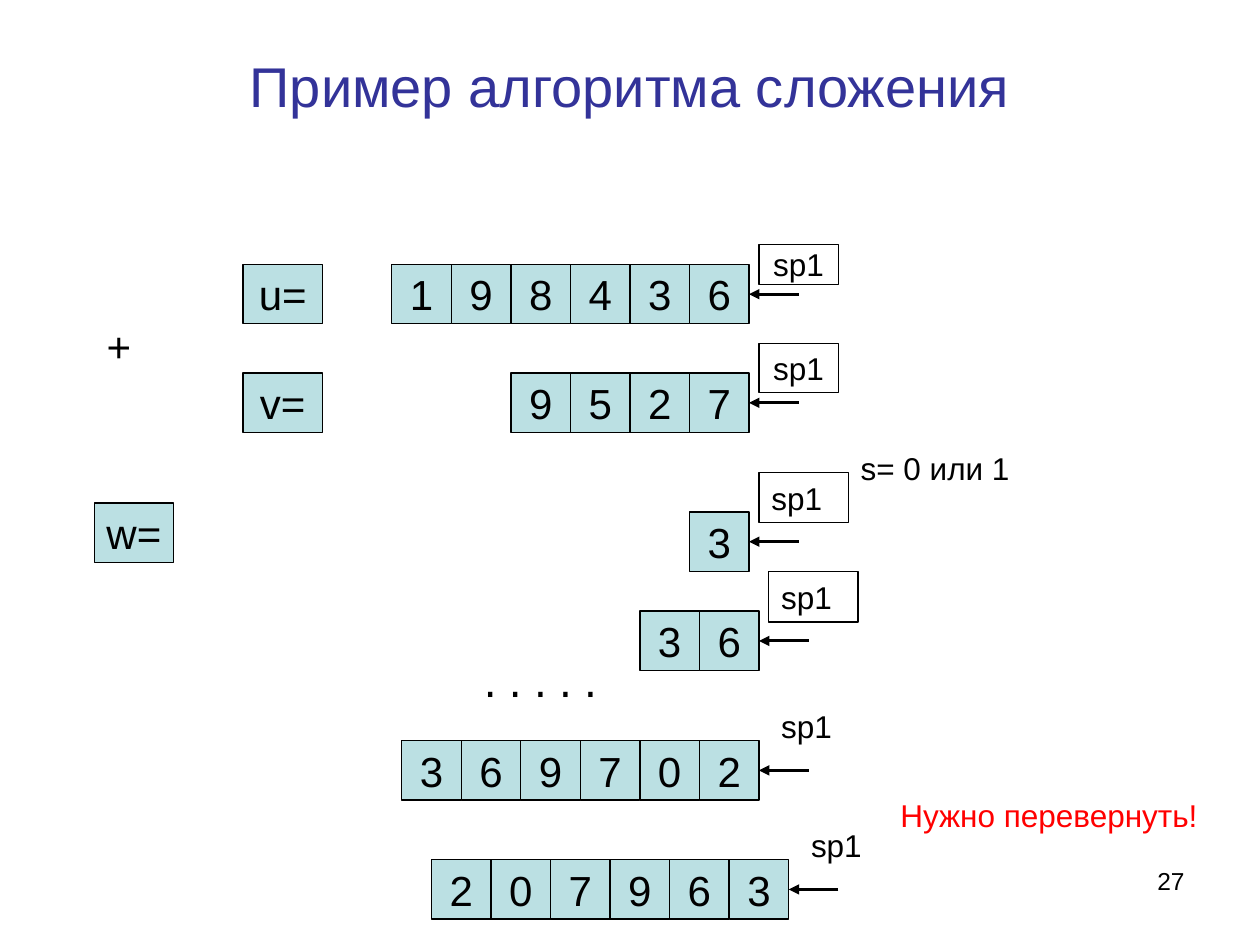
from pptx import Presentation
from pptx.dml.color import RGBColor
from pptx.enum.shapes import MSO_CONNECTOR as Connector, MSO_SHAPE as Shape
from pptx.enum.text import MSO_ANCHOR as Anchor, PP_ALIGN as Align
from pptx.oxml.ns import qn
from pptx.util import Inches, Pt
from lxml.etree import SubElement

COLORS = {"title": "333399", "cell": "BBE0E3", "ink": "000000", "alert": "FF0000"}
FONT = "Arial"
WIDTH, HEIGHT = Inches(10), Inches(7.5)
GRID = WIDTH / 127
CELL = 6
POINTER = 5


def grid(count):
    return round(count * GRID)


def color(name):
    return RGBColor.from_string(COLORS[name])


def write(holder, words, size, ink="ink", align=Align.LEFT, anchor=Anchor.TOP, wrap=True):
    frame = holder.text_frame
    frame.text = words
    frame.word_wrap = wrap
    frame.vertical_anchor = anchor
    paragraph = frame.paragraphs[0]
    paragraph.alignment = align
    font = paragraph.runs[0].font
    font.name, font.size = FONT, Pt(size)
    font.color.rgb = color(ink)


def add_note(slide, box, words, size, **style):
    note = slide.shapes.add_textbox(*map(grid, box))
    write(note, words, size, **style)


def add_block(slide, box, words, size=24, fill="cell", align=Align.CENTER, wrap=False):
    block = slide.shapes.add_shape(Shape.RECTANGLE, *map(grid, box))
    block.shadow.inherit = False
    if fill:
        block.fill.solid()
        block.fill.fore_color.rgb = color(fill)
    else:
        block.fill.background()
    block.line.color.rgb = color("ink")
    block.line.width = Pt(0.75)
    write(block, words, size, align=align, anchor=Anchor.MIDDLE, wrap=wrap)
    return block


def add_pointer(slide, target):
    start = target.left + target.width + grid(POINTER)
    middle = target.top + target.height // 2
    pointer = slide.shapes.add_connector(
        Connector.STRAIGHT, start, middle, target.left + target.width, middle)
    pointer.end_connect(target, 3)
    pointer.line.color.rgb = color("ink")
    pointer.line.width = Pt(1.75)
    SubElement(pointer.line._get_or_add_ln(), qn("a:tailEnd"), type="triangle")
    SubElement(pointer._element.spPr, qn("a:effectLst"))


def add_number(slide, right, top, digits):
    left = right - CELL * len(digits)
    for place, digit in enumerate(digits):
        last = add_block(slide, (left + place * CELL, top, CELL, CELL), digit)
    add_pointer(slide, last)


def add_pointer_label(slide, right, top, rise, width, height, kind):
    box = (right + 1, top - rise, width, height)
    if kind == "plain":
        add_note(slide, box, "sp1", 18)
    elif kind == "centred":
        add_block(slide, box, "sp1", 18, fill=None)
    else:
        add_block(slide, box, "sp1", 18, fill=None, align=Align.LEFT, wrap=True)


def add_addition(slide):
    small, medium, large = (2, 8, 4), (3, 8, 5), (4, 9, 5.1)
    numbers = [
        (75.5, 26.65, "198436", small, "centred"),
        (75.5, 37.6, "9527", medium, "centred"),
        (75.5, 51.6, "3", large, "framed"),
        (76.5, 61.6, "36", large, "framed"),
        (76.5, 74.65, "369702", large, "plain"),
        (79.5, 86.65, "207963", large, "plain"),
    ]
    for right, top, digits, size, kind in numbers:
        add_number(slide, right, top, digits)
        add_pointer_label(slide, right, top, *size, kind)
    for left, top, variable in [(24.5, 26.65, "u="), (24.5, 37.6, "v="), (9.5, 50.7, "w=")]:
        add_block(slide, (left, top, 8, CELL), variable)


def add_remarks(slide):
    add_note(slide, (9.5, 31.65, 9, 6.4), "+", 24)
    add_note(slide, (85.5, 44.6, 19, 5.1), "s= 0 или 1", 18)
    add_note(slide, (47.5, 66.7, 18, 6.4), "⋅ ⋅ ⋅ ⋅ ⋅", 24)
    add_note(slide, (89.5, 79.65, 35, 5.1), "Нужно перевернуть!", 18, ink="alert")


def add_heading(slide, left, top, width, height):
    heading = slide.shapes.add_textbox(left, top, width, height)
    write(heading, "Пример алгоритма сложения", 32, "title", Align.CENTER, Anchor.MIDDLE)


def add_page_number(slide, left, top, width, height):
    number = slide.shapes.add_textbox(left, top, width, height)
    write(number, "27", 14, align=Align.RIGHT)


def main():
    deck = Presentation()
    deck.slide_width, deck.slide_height = WIDTH, HEIGHT
    slide = deck.slides.add_slide(deck.slide_layouts[6])
    add_heading(slide, int(WIDTH * 0.05), int(HEIGHT * 0.04), int(WIDTH * 0.9), int(HEIGHT * 0.1))
    add_addition(slide)
    add_remarks(slide)
    add_page_number(slide, int(WIDTH * 0.72), int(HEIGHT * 0.91), int(WIDTH * 0.23), int(HEIGHT * 0.07))
    deck.save("out.pptx")


if __name__ == "__main__":
    main()
